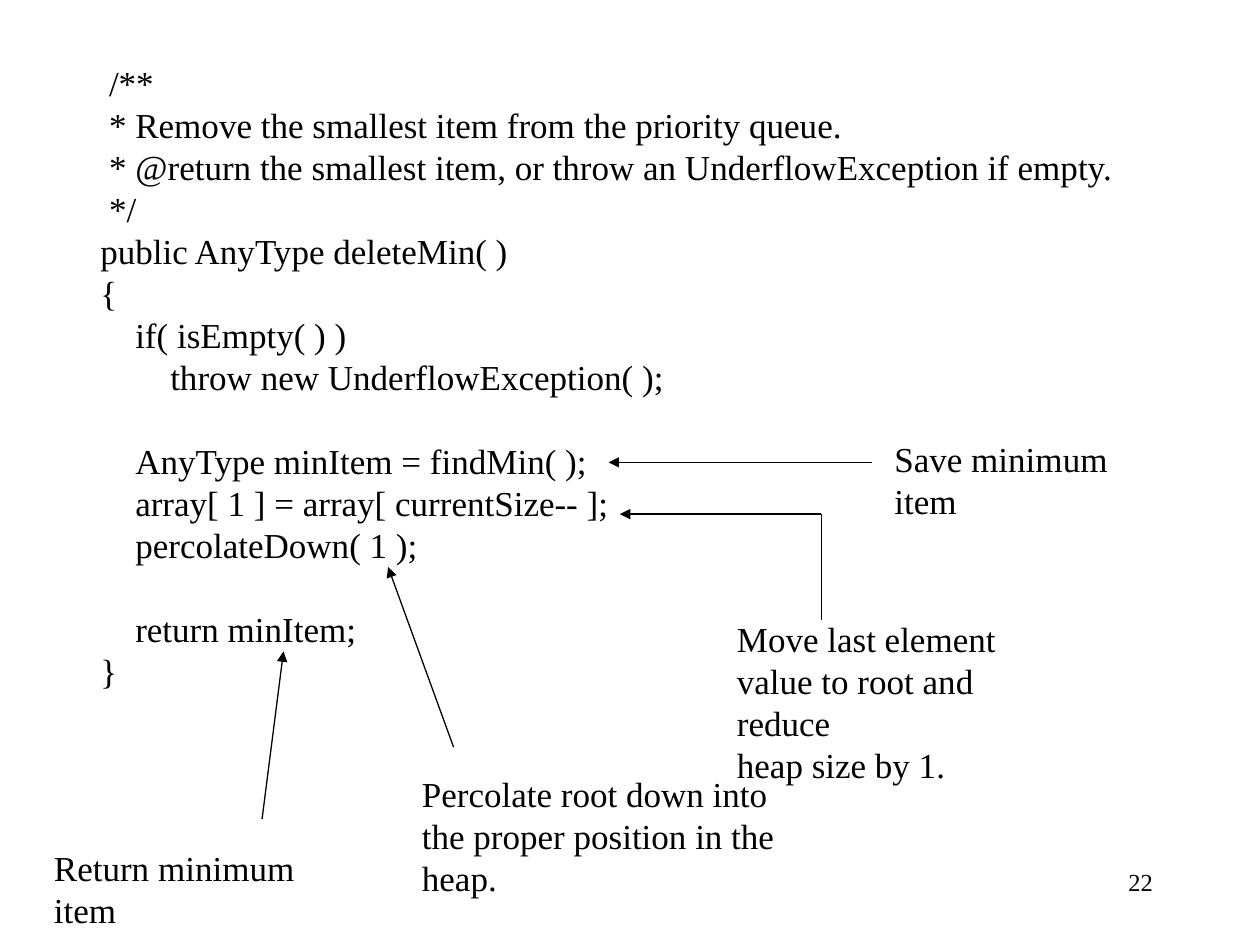
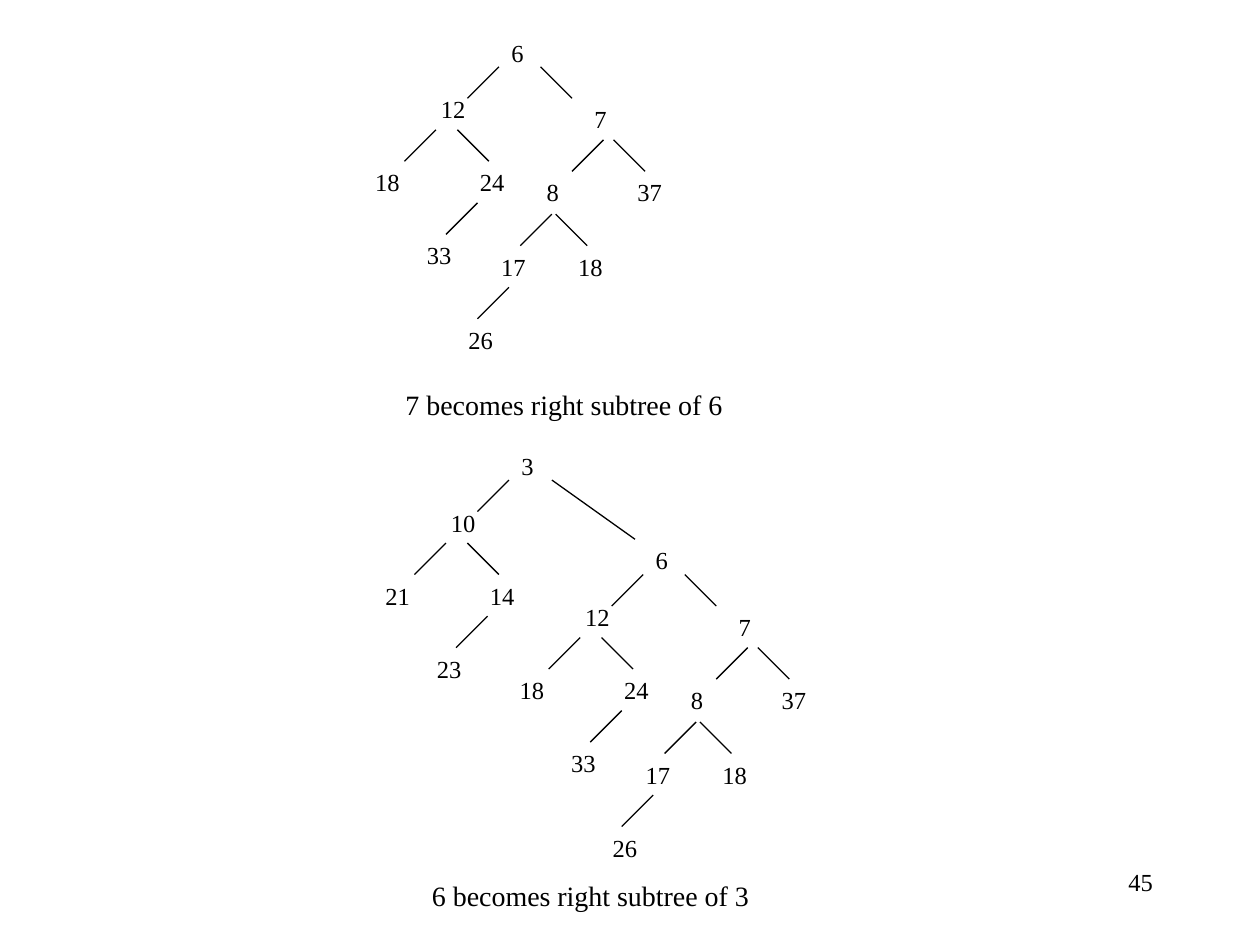
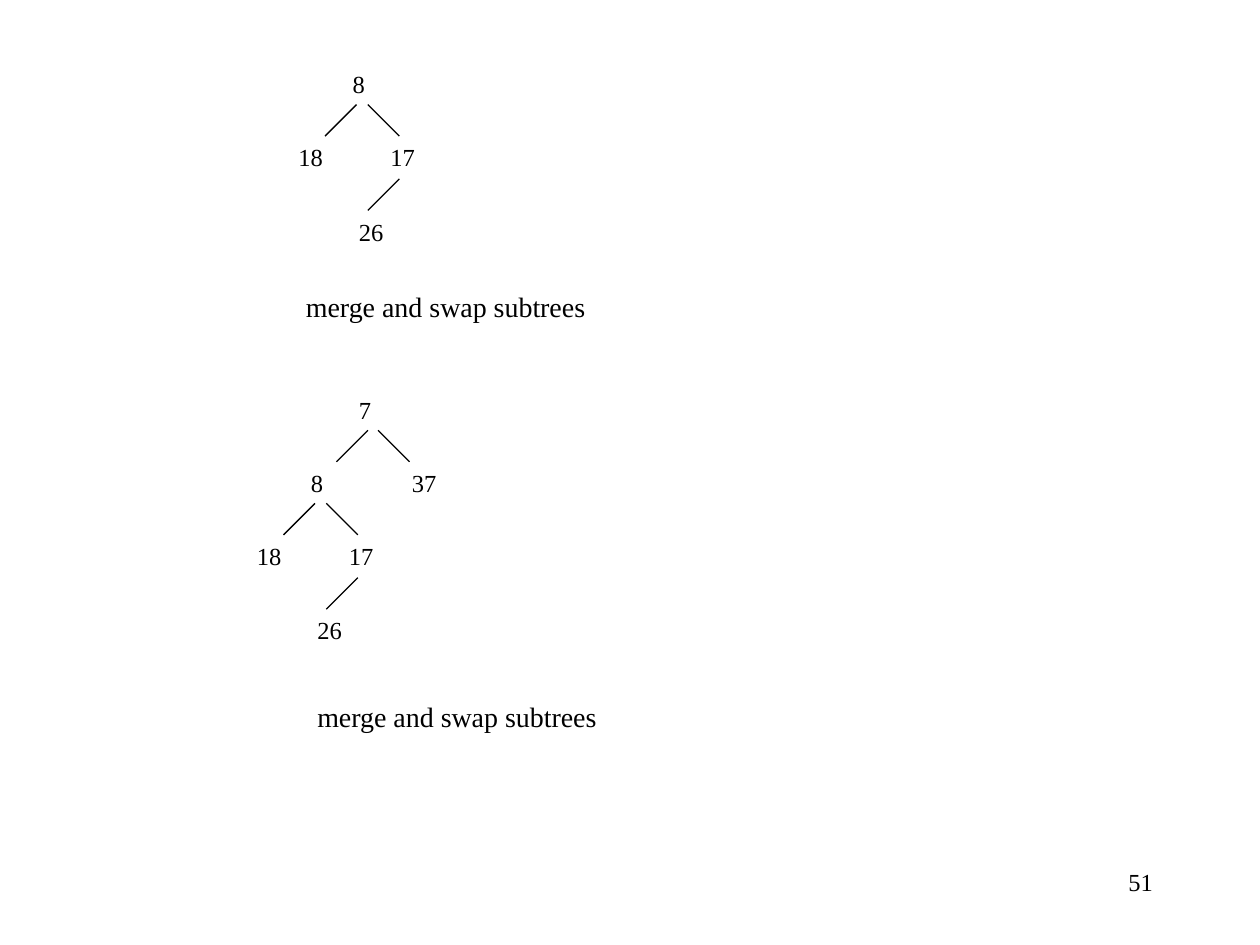
from dataclasses import dataclass

from lxml import etree
from pptx import Presentation
from pptx import util as u
from pptx.dml.color import RGBColor
from pptx.enum import shapes, text
from pptx.oxml import ns

# Shared look and grid: 100 columns by 75 rows of square cells
BLACK = RGBColor(0x00, 0x00, 0x00)
WHITE = RGBColor(0xFF, 0xFF, 0xFF)
FONT = "Times New Roman"
CODE_SIZE, CAPTION_SIZE, NODE_SIZE = 20, 16, 14
COLUMNS, ROWS = 100, 75
CELL = u.Inches(0.1)
SPACE = u.Pt(CODE_SIZE / 4)  # width of one space in the code
CODE_LINE = u.Pt(24)
BRANCH = 2.5  # width and height of a tree branch

# Code lines: (indent in spaces, text, blank lines before)
DELETE_MIN = [
    (5, "/**", 0),
    (5, "* Remove the smallest item from the priority queue.", 0),
    (5, "* @return the smallest item, or throw an UnderflowException if empty.", 0),
    (5, "*/", 0),
    (4, "public AnyType deleteMin( )", 0),
    (4, "{", 0),
    (8, "if( isEmpty( ) )", 0),
    (12, "throw new UnderflowException( );", 0),
    (8, "AnyType minItem = findMin( );", 1),
    (8, "array[ 1 ] = array[ currentSize-- ];", 0),
    (8, "percolateDown( 1 );", 0),
    (8, "return minItem;", 1),
    (4, "}", 0),
]

# Callouts: (left, top, width, lines)
CALLOUTS = [
    (70, 34.2, 23.5, ["Save minimum item"]),
    (57.5, 48.5, 27.8, ["Move last element", "value to root and reduce",
                        "heap size by 1."]),
    (32.5, 60.8, 35.5, ["Percolate root down into",
                        "the proper position in the heap."]),
    (3.3, 66.7, 25.6, ["Return minimum item"]),
]
ARROWS = [
    ((69.2, 36.7), (48.3, 36.7)),
    ((65.2, 40.8), (49.2, 40.8)),
    ((36, 59.3), (30.8, 45)),
    ((20.8, 65), (22.5, 51.7)),
]


@dataclass
class Tree:
    """Nodes (dx, dy) and branches (dx, dy, direction) from the root's corner."""
    nodes: list
    branches: list


LEFT_HEAP = Tree(
    [(0, 0), (-5.6, 4.5), (-10.8, 10.3), (-2.5, 10.3), (-6.7, 16.1)],
    [(0, 2.8, -1), (-5, 7.8, -1), (-3.3, 7.8, 1), (-1.7, 13.6, -1)])
DEEP_LEFT = Tree(
    [(0, 0), (-3.6, 5.9), (2.5, 5.9), (-6.2, 11.7)],
    [(1.4, 3.4, -1), (1.7, 3.4, 1), (-2, 9.2, -1)])
DEEP_RIGHT = Tree(
    [(0, 0), (-4.3, 5.8), (3, 5.8), (0.5, 11.7)],
    [(1.3, 3.3, -1), (2.2, 3.3, 1), (4.7, 9.2, -1)])


def add_text(slide, left, top, width, height, size, wrap=True):
    """Add an empty text box and return a function that writes its lines."""
    box = slide.shapes.add_textbox(*(round(v * CELL) for v in (left, top, width, height)))
    frame = box.text_frame
    frame.word_wrap = wrap
    frame.auto_size = text.MSO_AUTO_SIZE.NONE
    paragraphs = iter([frame.paragraphs[0]])

    def write(line):
        paragraph = next(paragraphs, None) or frame.add_paragraph()
        run = paragraph.add_run()
        run.text = line
        run.font.name = FONT
        run.font.size = u.Pt(size)
        run.font.color.rgb = BLACK
        return paragraph

    return write


def add_line(slide, start, end, arrow=False):
    connector = slide.shapes.add_connector(
        shapes.MSO_CONNECTOR.STRAIGHT, *(round(v * CELL) for v in (*start, *end)))
    connector.line.color.rgb = BLACK
    connector.line.width = u.Pt(0.75)
    properties = connector._element.spPr
    if arrow:
        outline = properties.find(ns.qn("a:ln"))
        etree.SubElement(outline, ns.qn("a:tailEnd"), type="triangle")
    etree.SubElement(properties, ns.qn("a:effectLst"))


def add_code(slide, lines):
    write = add_text(slide, 4.2, 4.4, 93.3, 51, CODE_SIZE)
    for indent, line, blanks in lines:
        paragraph = write(line)
        properties = paragraph._p.get_or_add_pPr()
        properties.set("marL", str(indent * SPACE))
        properties.set("indent", "0")
        paragraph.space_before = blanks * CODE_LINE


def add_callout(slide, left, top, width, lines):
    write = add_text(slide, left, top, width, 1 + 3.3 * len(lines), CODE_SIZE)
    for line in lines:
        write(line)


def add_caption(slide, left, top, width, caption):
    add_text(slide, left, top, width, 3.7, CAPTION_SIZE, wrap=False)(caption)


def add_node(slide, left, top, label):
    add_text(slide, left, top, 2 + len(label), 3.3, NODE_SIZE, wrap=False)(label)


def add_branch(slide, left, top, direction):
    add_line(slide, (left, top), (left + direction * BRANCH, top + BRANCH))


def add_tree(slide, tree, left, top, labels):
    for (dx, dy), label in zip(tree.nodes, labels.split()):
        add_node(slide, left + dx, top + dy, label)
    for dx, dy, direction in tree.branches:
        add_branch(slide, left + dx, top + dy, direction)


def add_seven(slide, left, top, left_tree, labels, right_gap):
    """Root 7 with a left subtree under it and the leaf 37 on its right."""
    add_node(slide, left, top, "7")
    add_node(slide, left + right_gap, top + 5.8, "37")
    add_branch(slide, left + 1.7, top + 3.3, -1)
    add_branch(slide, left + 2.5, top + 3.3, 1)
    add_tree(slide, left_tree, left - 3.8, top + 5.8, labels)


def add_six(slide, left, top):
    """Root 6 with 12 on its left and 7 on its right."""
    add_tree(slide, LEFT_HEAP, left, top, "6 12 18 24 33")
    add_branch(slide, left + 3.3, top + 2.8, 1)
    add_seven(slide, left + 6.6, top + 5.3, DEEP_LEFT, "8 17 18 26", 3.4)


def new_slide(presentation, number):
    slide = presentation.slides.add_slide(presentation.slide_layouts[6])
    slide.background.fill.solid()
    slide.background.fill.fore_color.rgb = WHITE
    write = add_text(slide, 74.2, 68.3, 18.3, 5, NODE_SIZE)
    write(str(number)).alignment = text.PP_ALIGN.RIGHT
    return slide


def build_delete_min(presentation):
    slide = new_slide(presentation, 22)
    add_code(slide, DELETE_MIN)
    for callout in CALLOUTS:
        add_callout(slide, *callout)
    for start, end in ARROWS:
        add_line(slide, start, end, arrow=True)
    # Upright part of the bent arrow
    add_line(slide, (65.2, 40.8), (65.2, 49.2))


def build_right_subtrees(presentation):
    slide = new_slide(presentation, 45)
    add_six(slide, 39.6, 2.5)
    add_caption(slide, 31.2, 30.3, 27.3, "7 becomes right subtree of 6")
    # Root 3, with the whole upper tree hung on its right
    add_tree(slide, LEFT_HEAP, 40.4, 35.3, "3 10 21 14 23")
    add_line(slide, (43.8, 38.1), (50.4, 42.8))
    add_six(slide, 51.05, 42.8)
    add_caption(slide, 33.3, 69.2, 27.3, "6 becomes right subtree of 3")


def build_swaps(presentation):
    slide = new_slide(presentation, 51)
    labels, caption = "8 18 17 26", "merge and swap subtrees"
    add_tree(slide, DEEP_RIGHT, 27, 5, labels)
    add_caption(slide, 23.3, 22.5, 24.3, caption)
    add_seven(slide, 27.5, 30.85, DEEP_RIGHT, labels, 4.2)
    add_caption(slide, 24.2, 55, 24.3, caption)


def main():
    presentation = Presentation()
    presentation.slide_width = COLUMNS * CELL
    presentation.slide_height = ROWS * CELL
    build_delete_min(presentation)
    build_right_subtrees(presentation)
    build_swaps(presentation)
    presentation.save("out.pptx")


if __name__ == "__main__":
    main()
